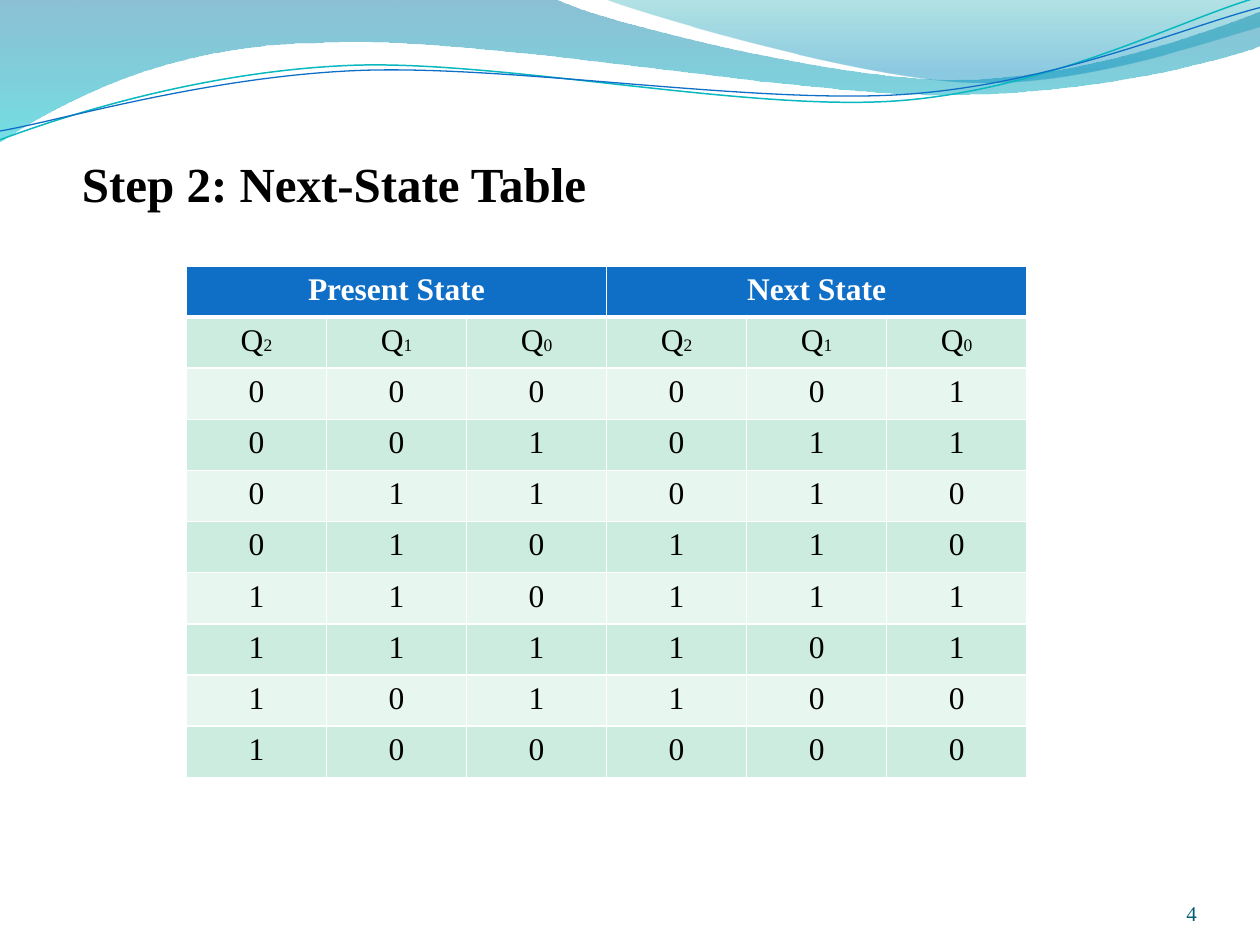
from dataclasses import dataclass
from math import cos, radians, sin

from lxml.etree import SubElement
from pptx import Presentation
from pptx.dml.color import RGBColor
from pptx.enum.text import MSO_ANCHOR, MSO_AUTO_SIZE, PP_ALIGN
from pptx.oxml.ns import qn
from pptx.util import Inches, Pt

WIDTH, HEIGHT = Inches(10), Inches(7.5)
COLUMN, ROW = WIDTH / 10, HEIGHT / 7.5
FONT = "Times New Roman"

WHITE = RGBColor(0xFF, 0xFF, 0xFF)
BLACK = RGBColor(0x00, 0x00, 0x00)
BLUE = RGBColor(0x0F, 0x6F, 0xC6)
TEAL = RGBColor(0x0A, 0xB8, 0xBF)
NUMBER_TEAL = RGBColor(0x04, 0x5C, 0x75)
MINT = RGBColor(0xCB, 0xEC, 0xDE)
PALE_MINT = RGBColor(0xE7, 0xF6, 0xEF)
DEEP_BLUE = RGBColor(0x00, 0x74, 0xA1)
CYAN = RGBColor(0x00, 0xC6, 0xCF)
SEA_GREEN = RGBColor(0x00, 0xA1, 0xA9)
SKY_BLUE = RGBColor(0x00, 0x8B, 0xBF)

PRESENT_STATES = ["000", "001", "011", "010", "110", "111", "101", "100"]
NEXT_STATES = PRESENT_STATES[1:] + PRESENT_STATES[:1]


@dataclass
class Stop:
    position: float
    color: RGBColor
    opacity: int


@dataclass
class Wave:
    frame: tuple
    segments: list
    stops: tuple = ()
    line_color: RGBColor = None
    line_width: float = 0
    rotation: float = 0


WAVES = [
    Wave((-0.01, -0.01, 10.02, 1.14),
         [[(0, -0.01)],
          [(4.4, -0.01)],
          [(4.76, 0.17), (6.64, 0.63), (7.58, 0.63)],
          [(8.53, 0.63), (9.58, 0.26), (10, 0.09)],
          [(10.01, 0.36)],
          [(9.83, 0.44), (8.7, 0.76), (7.46, 0.75)],
          [(6.22, 0.75), (3.82, 0.28), (2.57, 0.34)],
          [(1.29, 0.35), (0.46, 0.83), (-0.01, 1.13)],
          [(0, -0.01)]],
         stops=(Stop(0, DEEP_BLUE, 45), Stop(1, CYAN, 55))),
    Wave((4.79, -0.01, 5.21, 0.7),
         [[(4.79, -0.01)],
          [(5.09, 0.11), (6.82, 0.62), (7.69, 0.65)],
          [(8.56, 0.69), (9.61, 0.32), (10, 0.21)],
          [(10, 0)],
          [(4.79, -0.01)]],
         stops=(Stop(0, SEA_GREEN, 30), Stop(0.8, SKY_BLUE, 45))),
    Wave((-0.02, 0.22, 10.02, 0.71),
         [[(0, 1.11)],
          [(0.48, 0.93), (1.58, 0.57), (2.77, 0.52)],
          [(3.95, 0.47), (5.93, 0.89), (7.13, 0.8)],
          [(8.33, 0.71), (9.38, 0.15), (9.98, -0.02)]],
         line_color=TEAL, line_width=0.85, rotation=357.3),
    Wave((-0.02, 0.3, 10.03, 0.58),
         [[(0, 1.04)],
          [(0.47, 0.96), (1.64, 0.61), (2.83, 0.56)],
          [(4.03, 0.51), (5.97, 0.83), (7.17, 0.75)],
          [(8.36, 0.67), (9.41, 0.21), (10, 0.06)]],
         line_color=BLUE, line_width=0.75, rotation=357.3),
]


def place(shape, left: float, top: float, width: float, height: float) -> None:
    shape.left, shape.top = round(left * COLUMN), round(top * ROW)
    shape.width, shape.height = round(width * COLUMN), round(height * ROW)


def frame_point(wave: Wave, point: tuple) -> tuple:
    left, top, width, height = wave.frame
    angle = radians(-wave.rotation)
    across, down = point[0] - left - width / 2, point[1] - top - height / 2
    return (round((across * cos(angle) - down * sin(angle) + width / 2) * COLUMN),
            round((across * sin(angle) + down * cos(angle) + height / 2) * ROW))


def bend_outline(shape, segments: list) -> None:
    outline = next(shape._element.iter(qn("a:path")))
    outline.clear()
    outline.set("w", str(shape.width))
    outline.set("h", str(shape.height))
    for index, points in enumerate(segments):
        tag = "a:moveTo" if index == 0 else "a:lnTo" if len(points) == 1 else "a:cubicBezTo"
        command = SubElement(outline, qn(tag))
        for x, y in points:
            SubElement(command, qn("a:pt"), x=str(x), y=str(y))
    if segments[0] == segments[-1]:
        SubElement(outline, qn("a:close"))


def draw_wave(page, wave: Wave) -> None:
    segments = [[frame_point(wave, point) for point in points] for points in wave.segments]
    anchors = [points[-1] for points in segments]
    builder = page.shapes.build_freeform(*anchors[0])
    builder.add_line_segments(anchors[1:], close=False)
    shape = builder.convert_to_shape()
    place(shape, *wave.frame)
    bend_outline(shape, segments)
    shape.rotation = wave.rotation
    shape.shadow.inherit = False
    if not wave.stops:
        shape.fill.background()
        shape.line.color.rgb = wave.line_color
        shape.line.width = Pt(wave.line_width)
        return
    shape.line.fill.background()
    shape.fill.gradient()
    shape.fill.gradient_angle = 270
    elements = shape._element.iter(qn("a:gs"))
    for gradient_stop, element, stop in zip(shape.fill.gradient_stops, elements, wave.stops):
        gradient_stop.position = stop.position
        gradient_stop.color.rgb = stop.color
        SubElement(element[0], qn("a:alpha"), val=str(stop.opacity * 1000))


def add_span(para, text: str, size: float, color: RGBColor, bold: bool = False) -> None:
    span = para.add_run()
    span.text = text
    span.font.name = FONT
    span.font.size = Pt(size)
    span.font.bold = bold
    span.font.color.rgb = color


def add_page_number(page, number: str) -> None:
    box = page.shapes.add_textbox(0, 0, 0, 0)
    place(box, 8.67, 6.95, 0.83, 0.4)
    frame = box.text_frame
    frame.word_wrap = True
    frame.vertical_anchor = MSO_ANCHOR.BOTTOM
    frame.margin_left = frame.margin_top = frame.margin_right = frame.margin_bottom = 0
    para = frame.paragraphs[0]
    para.alignment = PP_ALIGN.RIGHT
    add_span(para, number, 12, NUMBER_TEAL)


def add_title(page, text: str) -> None:
    title = page.shapes.title
    place(title, 0.55, 1.17, 9.06, 0.57)
    frame = title.text_frame
    frame.word_wrap = True
    frame.auto_size = MSO_AUTO_SIZE.SHAPE_TO_FIT_TEXT
    frame.vertical_anchor = MSO_ANCHOR.TOP
    para = frame.paragraphs[0]
    para.alignment = PP_ALIGN.LEFT
    add_span(para, text, 28, BLACK, bold=True)


def style_cell(cell, fill: RGBColor, top: float = 1, bottom: float = 1) -> None:
    cell.fill.solid()
    cell.fill.fore_color.rgb = fill
    properties = cell._tc.get_or_add_tcPr()
    for index, (side, width) in enumerate(zip("LRTB", (1, 1, top, bottom))):
        border = SubElement(properties, qn(f"a:ln{side}"), w=str(Pt(width)))
        paint = SubElement(border, qn("a:solidFill"))
        SubElement(paint, qn("a:srgbClr"), val=str(WHITE))
        properties.insert(index, border)


def centred_paragraph(cell):
    para = cell.text_frame.paragraphs[0]
    para.alignment = PP_ALIGN.CENTER
    return para


def add_state_table(page) -> None:
    rows, columns = len(PRESENT_STATES) + 2, 6
    frame = page.shapes.add_table(rows, columns, 0, 0, round(6.67 * COLUMN), round(4.06 * ROW))
    place(frame, 1.48, 2.11, 6.67, 4.06)
    table = frame.table
    for column in range(columns):
        style_cell(table.cell(0, column), BLUE, bottom=3)
        cell = table.cell(1, column)
        style_cell(cell, MINT, top=3)
        para = centred_paragraph(cell)
        add_span(para, "Q", 18, BLACK)
        add_span(para, str(2 - column % 3), 10, BLACK)
    for column, heading in ((0, "Present State"), (3, "Next State")):
        cell = table.cell(0, column)
        cell.merge(table.cell(0, column + 2))
        add_span(centred_paragraph(cell), heading, 18, WHITE, bold=True)
    for row, (present, following) in enumerate(zip(PRESENT_STATES, NEXT_STATES), start=2):
        for column, digit in enumerate(present + following):
            cell = table.cell(row, column)
            style_cell(cell, MINT if row % 2 else PALE_MINT)
            add_span(centred_paragraph(cell), digit, 18, BLACK)


def main() -> None:
    deck = Presentation()
    deck.slide_width, deck.slide_height = WIDTH, HEIGHT
    page = deck.slides.add_slide(deck.slide_layouts[5])
    for wave in WAVES:
        draw_wave(page, wave)
    add_page_number(page, "4")
    add_title(page, "Step 2: Next-State Table")
    add_state_table(page)
    deck.save("out.pptx")


main()
